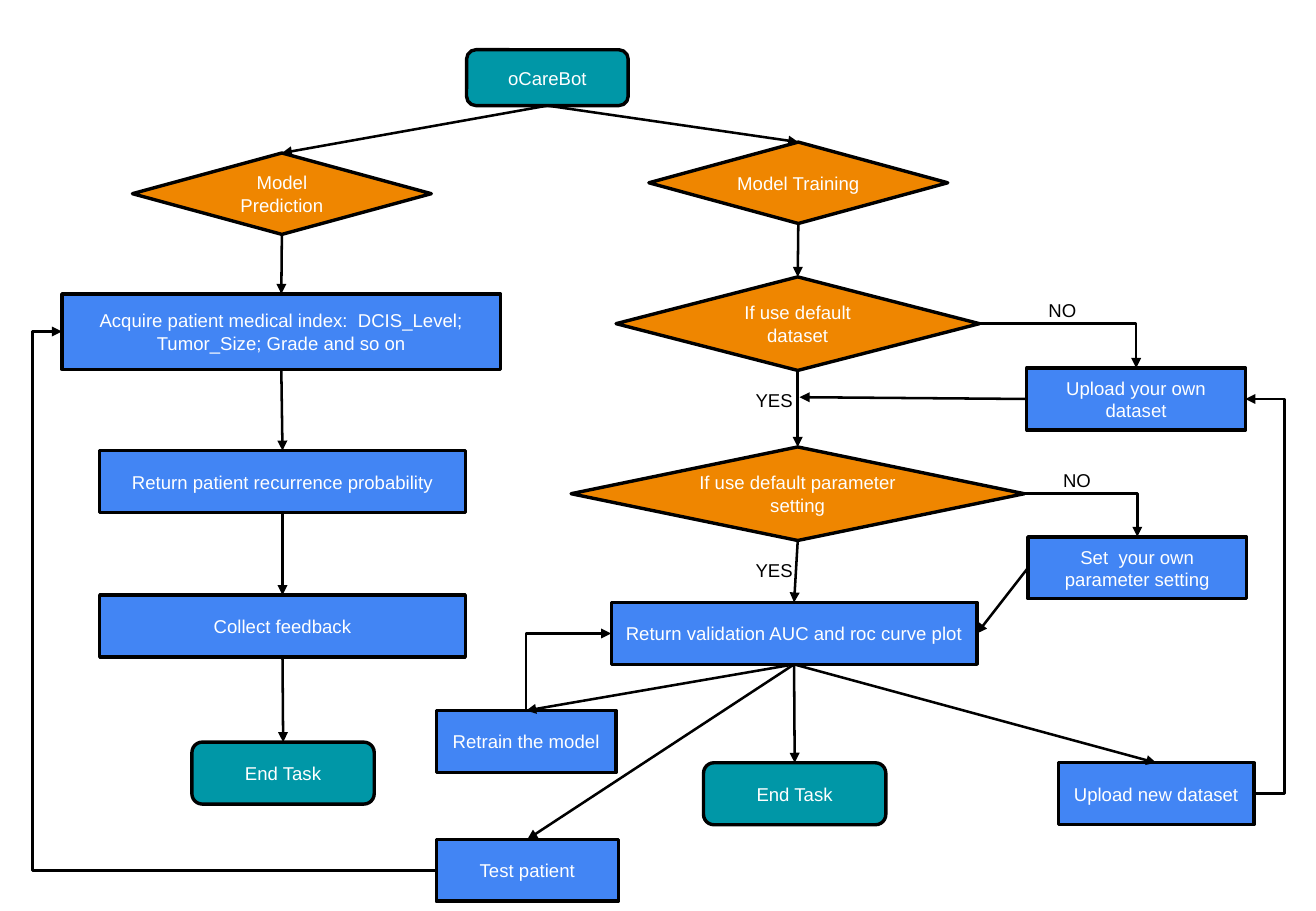
from dataclasses import dataclass
from enum import IntEnum
from typing import Optional

from lxml.etree import SubElement
from pptx import Presentation
from pptx.dml.color import RGBColor
from pptx.enum.shapes import MSO_CONNECTOR, MSO_SHAPE
from pptx.enum.text import MSO_ANCHOR, PP_ALIGN
from pptx.oxml.ns import qn
from pptx.shapes.autoshape import Shape
from pptx.shapes.connector import Connector
from pptx.slide import Slide
from pptx.text.text import TextFrame
from pptx.util import Pt

PX = 9144  # EMU per px, 100 px to the inch

BLACK = RGBColor(0x00, 0x00, 0x00)
WHITE = RGBColor(0xFF, 0xFF, 0xFF)
TEAL = RGBColor(0x00, 0x97, 0xA7)
ORANGE = RGBColor(0xEF, 0x86, 0x00)
BLUE = RGBColor(0x42, 0x85, 0xF4)


@dataclass(frozen=True)
class Kind:
    outline: MSO_SHAPE
    fill: RGBColor


@dataclass(frozen=True)
class Node:
    text: str
    kind: Kind
    x: int
    y: int
    w: int
    h: int


@dataclass(frozen=True)
class Label:
    text: str
    x: int
    y: int


class Side(IntEnum):
    TOP = 0
    LEFT = 1
    BOTTOM = 2
    RIGHT = 3


@dataclass(frozen=True)
class Link:
    source: str
    target: str
    leave: Side = Side.BOTTOM
    enter: Side = Side.TOP


@dataclass(frozen=True)
class BentLink(Link):
    turn_x: Optional[int] = None  # None: a single corner
    head_at_source: bool = False


TERMINAL = Kind(MSO_SHAPE.ROUNDED_RECTANGLE, TEAL)
DECISION = Kind(MSO_SHAPE.DIAMOND, ORANGE)
STEP = Kind(MSO_SHAPE.RECTANGLE, BLUE)

NODES = {
    "start": Node("oCareBot", TERMINAL, 384, 41, 133, 46),
    # Prediction branch
    "prediction": Node("Model Prediction", DECISION, 109, 126, 246, 67),
    "acquire": Node("Acquire patient medical index:  DCIS_Level; Tumor_Size; Grade and so on",
                    STEP, 51, 242, 361, 62),
    "recurrence": Node("Return patient recurrence probability", STEP, 82, 371, 301, 51),
    "feedback": Node("Collect feedback", STEP, 82, 490, 301, 51),
    "prediction end": Node("End Task", TERMINAL, 158, 611, 150, 51),
    # Training branch
    "training": Node("Model Training", DECISION, 534, 117, 246, 67),
    "default dataset": Node("If use default dataset", DECISION, 507, 228, 299, 77),
    "own dataset": Node("Upload your own dataset", STEP, 845, 303, 180, 51),
    "default setting": Node("If use default parameter setting", DECISION, 470, 368, 373, 77),
    "own setting": Node("Set  your own parameter setting", STEP, 846, 442, 180, 51),
    "validation": Node("Return validation AUC and roc curve plot", STEP, 503, 496, 301, 51),
    "retrain": Node("Retrain the model", STEP, 359, 585, 148, 51),
    "test patient": Node("Test patient", STEP, 359, 691, 150, 51),
    "training end": Node("End Task", TERMINAL, 579, 628, 150, 51),
    "new dataset": Node("Upload new dataset", STEP, 871, 628, 161, 51),
}

LINKS = [
    Link("start", "prediction"),
    Link("start", "training"),
    Link("prediction", "acquire"),
    Link("acquire", "recurrence"),
    Link("recurrence", "feedback"),
    Link("feedback", "prediction end"),
    Link("training", "default dataset"),
    Link("default dataset", "default setting"),
    Link("default setting", "validation"),
    Link("own setting", "validation", Side.LEFT, Side.RIGHT),
    Link("validation", "retrain"),
    Link("validation", "test patient"),
    Link("validation", "training end"),
    Link("validation", "new dataset"),
]

BENT_LINKS = [
    BentLink("default dataset", "own dataset", Side.RIGHT),
    BentLink("default setting", "own setting", Side.RIGHT),
    BentLink("validation", "retrain", Side.LEFT, head_at_source=True),
    BentLink("new dataset", "own dataset", Side.RIGHT, Side.RIGHT, turn_x=1057),
    BentLink("test patient", "acquire", Side.LEFT, Side.LEFT, turn_x=27),
]

LABELS = [Label("NO", 853, 241), Label("NO", 865, 381),
          Label("YES", 612, 315), Label("YES", 612, 455)]


def write(frame: TextFrame, text: str, color: RGBColor, align: PP_ALIGN) -> None:
    frame.word_wrap = True
    paragraph = frame.paragraphs[0]
    paragraph.alignment = align
    run = paragraph.add_run()
    run.text = text
    run.font.name = "Arial"
    run.font.size = Pt(11)
    run.font.color.rgb = color


def draw_node(slide: Slide, node: Node) -> Shape:
    shape = slide.shapes.add_shape(node.kind.outline, node.x * PX, node.y * PX,
                                   node.w * PX, node.h * PX)
    shape.shadow.inherit = False
    shape.fill.solid()
    shape.fill.fore_color.rgb = node.kind.fill
    shape.line.color.rgb = BLACK
    shape.line.width = Pt(2)
    shape.text_frame.vertical_anchor = MSO_ANCHOR.MIDDLE
    write(shape.text_frame, node.text, WHITE, PP_ALIGN.CENTER)
    return shape


def draw_label(slide: Slide, label: Label) -> None:
    box = slide.shapes.add_textbox(label.x * PX, label.y * PX, 90 * PX, 28 * PX)
    write(box.text_frame, label.text, BLACK, PP_ALIGN.LEFT)


def draw_arrow(slide: Slide, route: MSO_CONNECTOR, arrow_end: str = "a:tailEnd") -> Connector:
    arrow = slide.shapes.add_connector(route, 0, 0, 0, 0)
    arrow.line.color.rgb = BLACK
    arrow.line.width = Pt(1.5)
    properties = arrow.element.spPr
    SubElement(properties.find(qn("a:ln")), qn(arrow_end), type="triangle")
    SubElement(properties, qn("a:effectLst"))
    return arrow


def join(arrow: Connector, link: Link, shapes: dict[str, Shape]) -> None:
    arrow.begin_connect(shapes[link.source], link.leave)
    arrow.end_connect(shapes[link.target], link.enter)


def draw_bent_link(slide: Slide, link: BentLink, shapes: dict[str, Shape]) -> None:
    arrow = draw_arrow(slide, MSO_CONNECTOR.ELBOW,
                       "a:headEnd" if link.head_at_source else "a:tailEnd")
    join(arrow, link, shapes)
    geometry = arrow.element.spPr.find(qn("a:prstGeom"))
    if link.turn_x is None:
        geometry.set("prst", "bentConnector2")
        return
    # The turn is a share of the run from begin to end
    share = (link.turn_x * PX - arrow.begin_x) / (arrow.end_x - arrow.begin_x)
    SubElement(geometry.find(qn("a:avLst")), qn("a:gd"),
               name="adj1", fmla=f"val {round(share * 100000)}")


def main() -> None:
    deck = Presentation()
    deck.slide_width, deck.slide_height = 1083 * PX, 750 * PX
    slide = deck.slides.add_slide(deck.slide_layouts[6])

    shapes = {key: draw_node(slide, node) for key, node in NODES.items()}
    for link in LINKS:
        join(draw_arrow(slide, MSO_CONNECTOR.STRAIGHT), link, shapes)
    for bent_link in BENT_LINKS:
        draw_bent_link(slide, bent_link, shapes)

    # The own dataset rejoins the default path midway
    rejoin = draw_arrow(slide, MSO_CONNECTOR.STRAIGHT)
    rejoin.begin_connect(shapes["own dataset"], Side.LEFT)
    rejoin.end_x, rejoin.end_y = 658 * PX, 327 * PX

    for label in LABELS:
        draw_label(slide, label)
    deck.save("out.pptx")


if __name__ == "__main__":
    main()
